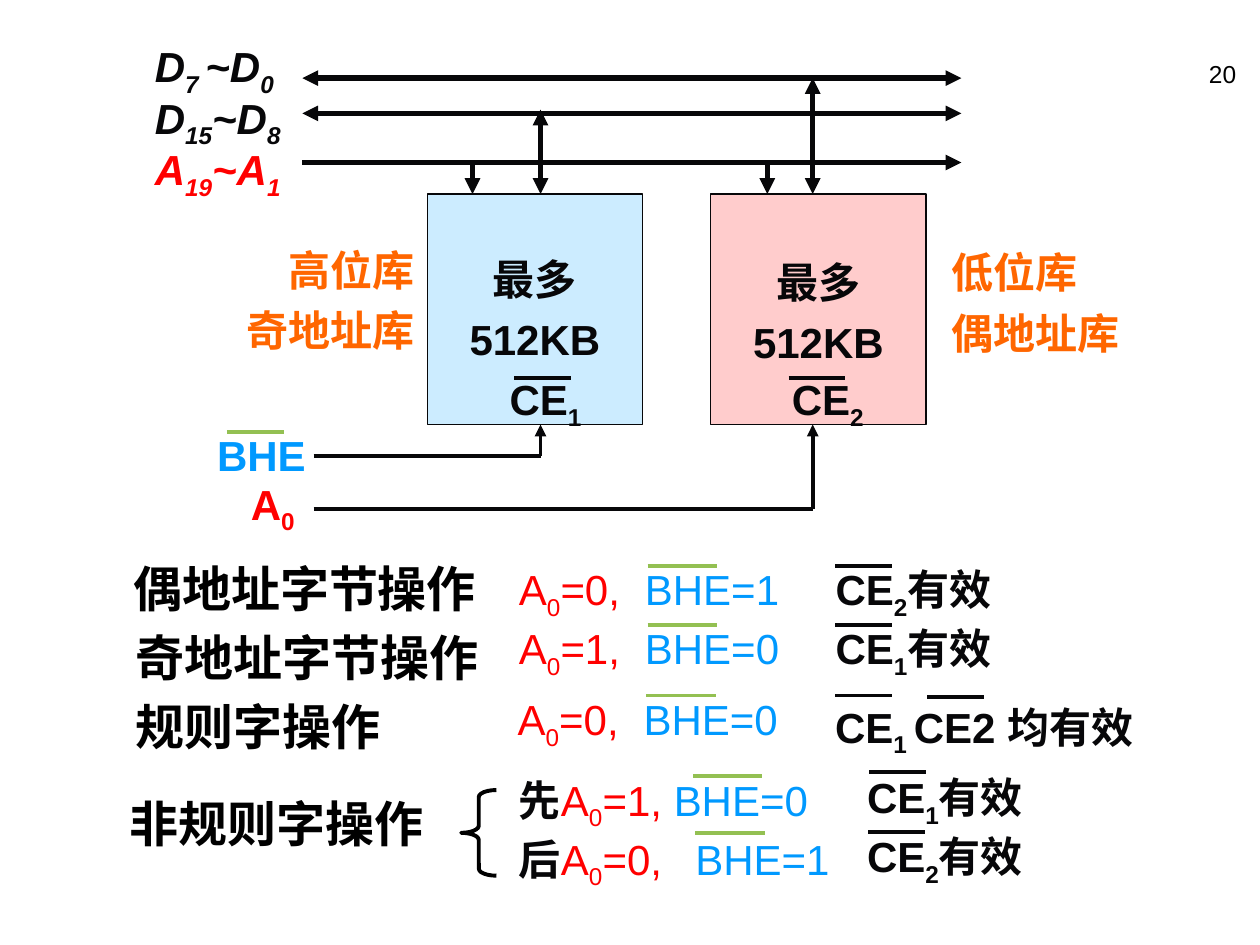
import typing

import pptx
import pptx.util
import pptx.dml.color
import pptx.enum.shapes
import pptx.enum.text
import pptx.oxml.ns
from lxml import etree

Inches = pptx.util.Inches
Pt = pptx.util.Pt
RGBColor = pptx.dml.color.RGBColor
Shape = pptx.enum.shapes.MSO_SHAPE
Anchor = pptx.enum.text.MSO_ANCHOR
Align = pptx.enum.text.PP_ALIGN
qn = pptx.oxml.ns.qn

INK = RGBColor(0x07, 0x07, 0x09)
BLACK = RGBColor(0, 0, 0)
RED = RGBColor(0xFF, 0, 0)
BLUE = RGBColor(0, 0x99, 0xFF)
ORANGE = RGBColor(0xFF, 0x66, 0)
GREEN = RGBColor(0x93, 0xC0, 0x52)
HIGH_BANK = RGBColor(0xCC, 0xEC, 0xFF)
LOW_BANK = RGBColor(0xFF, 0xCC, 0xCC)


class Style(typing.NamedTuple):
    color: RGBColor
    size: int = 24
    bold: bool = True
    italic: bool = False
    name: str = "Arial"


LABEL = Style(INK)
BUS = Style(INK, italic=True)
ADDRESS_BUS = Style(RED, italic=True)
BANK_NAME = Style(ORANGE)
ADDRESS_BIT = Style(RED, bold=False)
HIGH_ENABLE = Style(BLUE, bold=False)
ORDER = Style(INK, name="Times New Roman")
OPERATION = Style(BLACK, 28, name="Times New Roman")
PAGE_NUMBER = Style(BLACK, 14, False)

BANK_TOP, BANK_WIDTH, BANK_HEIGHT = 1.54, 1.71, 1.83
BANK_BOTTOM = BANK_TOP + BANK_HEIGHT
BANKS = [(3.39, HIGH_BANK, 0), (5.64, LOW_BANK, 0.05)]
BANK_TEXT = ["最多", "512KB"]

BUS_LEFT, BUS_RIGHT = 2.4, 7.63
HIGH_DATA, LOW_DATA, ADDRESS = 0.9, 0.62, 1.29
HIGH_X, LOW_X, ENABLE_LEFT = 4.29, 6.45, 2.49
HIGH_ENABLE_Y, LOW_ENABLE_Y = 3.62, 4.04

WIRES = [
    (BUS_LEFT, HIGH_DATA, BUS_RIGHT, HIGH_DATA, 3, "both"),
    (HIGH_X, 0.87, HIGH_X, BANK_TOP, 3, "both"),
    (BUS_LEFT, LOW_DATA, BUS_RIGHT, LOW_DATA, 3, "both"),
    (LOW_X, LOW_DATA, LOW_X, BANK_TOP, 3, "both"),
    (BUS_LEFT, ADDRESS, BUS_RIGHT, ADDRESS, 3, "end"),
    (3.75, ADDRESS, 3.75, BANK_TOP, 3, "end"),
    (6.09, ADDRESS, 6.09, BANK_TOP, 3, "end"),
    (ENABLE_LEFT, LOW_ENABLE_Y, LOW_X, LOW_ENABLE_Y, 2.25, None),
    (LOW_X, LOW_ENABLE_Y, LOW_X, BANK_BOTTOM, 2.25, "end"),
    (ENABLE_LEFT, HIGH_ENABLE_Y, HIGH_X, HIGH_ENABLE_Y, 2.25, None),
    (HIGH_X, HIGH_ENABLE_Y, HIGH_X, BANK_BOTTOM, 2.25, "end"),
]

DIAGRAM_LABELS = [
    (1.13, 0.28, 1.52, 1.33, Align.LEFT, 0.9, 0,
     [("D{7 }~D{0}", BUS), ("D{15}~D{8}", BUS), ("A{19}~A{1}", ADDRESS_BUS)]),
    (3.7, 2.87, 1.26, 0.6, Align.CENTER, 1.1, 0, [("CE{1}", LABEL)]),
    (6, 2.87, 1.14, 0.6, Align.CENTER, 1.1, 0, [("CE{2}", LABEL)]),
    (1.54, 3.32, 1.07, 0.54, Align.CENTER, 1.1, 0, [("BHE", Style(BLUE))]),
    (1.69, 3.7, 0.95, 0.6, Align.CENTER, 1.1, 0, [("A{0}", Style(RED))]),
    (1.41, 1.85, 1.98, 1.02, Align.RIGHT, 1.1, 3,
     [("高位库", BANK_NAME), ("奇地址库", BANK_NAME)]),
    (7.45, 1.87, 2.07, 1.02, Align.LEFT, 1.1, 3,
     [("低位库", BANK_NAME), ("偶地址库", BANK_NAME)]),
]

OPERATIONS = [
    (0.96, 4.38, 2.92, "偶地址字节操作"),
    (0.98, 4.93, 2.92, "奇地址字节操作"),
    (0.98, 5.48, 2.14, "规则字操作"),
    (0.93, 6.25, 2.53, "非规则字操作"),
]

CONDITIONS = [
    (4.02, 4.38, "", "A{0}=0,\t", "BHE=1", 1),
    (4.02, 4.85, "", "A{0}=1,\t", "BHE=0", 1),
    (4.01, 5.41, "", "A{0}=0,\t", "BHE=0", 1),
    (4.02, 6.05, "先", "A{0}=1, ", "BHE=0", None),
    (4.02, 6.52, "后", "A{0}=0,\t", "BHE=1", 1.4),
]

RESULTS = [
    (6.15, 4.38, 2.2, Align.CENTER, "CE{2}有效"),
    (6.15, 4.85, 2.2, Align.CENTER, "CE{1}有效"),
    (6.53, 5.47, 3.04, Align.LEFT, "CE{1 }CE2 均有效"),
    (6.4, 6.03, 2.2, Align.CENTER, "CE{1}有效"),
    (6.4, 6.5, 2.2, Align.CENTER, "CE{2}有效"),
]

CHIP_BAR, SIGNAL_BAR = 0.45, 0.55
OVERLINES = [
    (CHIP_BAR, INK, [(4.08, 3), (6.26, 3), (6.63, 4.49), (6.63, 4.96),
                     (6.63, 5.52), (7.36, 5.53), (6.9, 6.13), (6.89, 6.6)]),
    (CHIP_BAR, GREEN, [(1.8, 3.43)]),
    (SIGNAL_BAR, GREEN, [(5.14, 4.49), (5.14, 4.96), (5.13, 5.52),
                         (5.5, 6.16), (5.52, 6.61)]),
]


def apply_style(font, style):
    font.name, font.size = style.name, Pt(style.size)
    font.bold, font.italic = style.bold, style.italic
    font.color.rgb = style.color


def write_paragraph(paragraph, segments, align, spacing=1, before=0, tab=None):
    paragraph.alignment, paragraph.line_spacing = align, spacing
    if before:
        paragraph.space_before = Pt(before)
    if tab:
        tabs = etree.SubElement(paragraph._p.get_or_add_pPr(), qn("a:tabLst"))
        etree.SubElement(tabs, qn("a:tab"), pos=str(Inches(tab)), algn="l")
    uniform = len({style for _, style in segments}) == 1
    if uniform:
        apply_style(paragraph.font, segments[0][1])
    for markup, style in segments:
        for index, piece in enumerate(markup.replace("}", "{").split("{")):
            if not piece:
                continue
            run = paragraph.add_run()
            run.text = piece
            if not uniform:
                apply_style(run.font, style)
            if index % 2:
                run._r.get_or_add_rPr().set("baseline", "-25000")


def write_lines(frame, lines, align, spacing=1, before=0, tab=None):
    for index, segments in enumerate(lines):
        paragraph = frame.add_paragraph() if index else frame.paragraphs[0]
        write_paragraph(paragraph, segments, align, spacing, before if index else 0, tab)


def add_text(slide, left, top, width, height, lines, align=Align.LEFT,
             spacing=1, before=0, tab=None, wrap=True):
    box = slide.shapes.add_textbox(*map(Inches, (left, top, width, height)))
    box.text_frame.word_wrap = wrap
    write_lines(box.text_frame, lines, align, spacing, before, tab)


def add_line(slide, x1, y1, x2, y2, color, width=2.25, arrows=None):
    line = slide.shapes.add_connector(
        pptx.enum.shapes.MSO_CONNECTOR.STRAIGHT, *map(Inches, (x1, y1, x2, y2)))
    line.line.color.rgb, line.line.width = color, Pt(width)
    ends = {"both": ["a:headEnd", "a:tailEnd"], "end": ["a:tailEnd"]}.get(arrows, [])
    for end in ends:
        etree.SubElement(line.line._get_or_add_ln(), qn(end), type="triangle")
    etree.SubElement(line._element.spPr, qn("a:effectLst"))


def add_bank(slide, left, fill, top_margin):
    bank = slide.shapes.add_shape(
        Shape.RECTANGLE, *map(Inches, (left, BANK_TOP, BANK_WIDTH, BANK_HEIGHT)))
    bank.shadow.inherit = False
    bank.fill.solid()
    bank.fill.fore_color.rgb = fill
    bank.line.color.rgb, bank.line.width = INK, Pt(0.75)
    frame = bank.text_frame
    frame.word_wrap, frame.vertical_anchor = False, Anchor.MIDDLE
    frame.margin_top = Inches(top_margin)
    write_lines(frame, [[(text, LABEL)] for text in BANK_TEXT], Align.CENTER, 1.1, 3)


def add_brace(slide):
    brace = slide.shapes.add_shape(
        Shape.LEFT_BRACE, *map(Inches, (3.66, 6.27, 0.28, 0.68)))
    brace.shadow.inherit = False
    brace.adjustments[0] = 0.2
    brace.fill.background()
    brace.line.color.rgb, brace.line.width = BLACK, Pt(2.25)


def main():
    presentation = pptx.Presentation()
    presentation.slide_width, presentation.slide_height = Inches(10), Inches(7.5)
    slide = presentation.slides.add_slide(presentation.slide_layouts[6])
    for bank in BANKS:
        add_bank(slide, *bank)
    for x1, y1, x2, y2, width, arrows in WIRES:
        add_line(slide, x1, y1, x2, y2, INK, width, arrows)
    for left, top, width, height, align, spacing, before, lines in DIAGRAM_LABELS:
        add_text(slide, left, top, width, height, [[line] for line in lines],
                 align, spacing, before)
    for left, top, width, text in OPERATIONS:
        add_text(slide, left, top, width, 0.57, [[(text, OPERATION)]], wrap=False)
    for left, top, order, address, enable, tab in CONDITIONS:
        segments = [(order, ORDER), (address, ADDRESS_BIT), (enable, HIGH_ENABLE)]
        add_text(slide, left, top, 2.68, 0.6, [segments], spacing=1.1, tab=tab)
    for left, top, width, align, text in RESULTS:
        add_text(slide, left, top, width, 0.6, [[(text, LABEL)]], align, 1.1)
    for length, color, starts in OVERLINES:
        for left, top in starts:
            add_line(slide, left, top, left + length, top, color)
    add_brace(slide)
    add_text(slide, 7.83, 0.42, 2.08, 0.5, [[("20", PAGE_NUMBER)]], Align.RIGHT)
    presentation.save("out.pptx")


if __name__ == "__main__":
    main()
